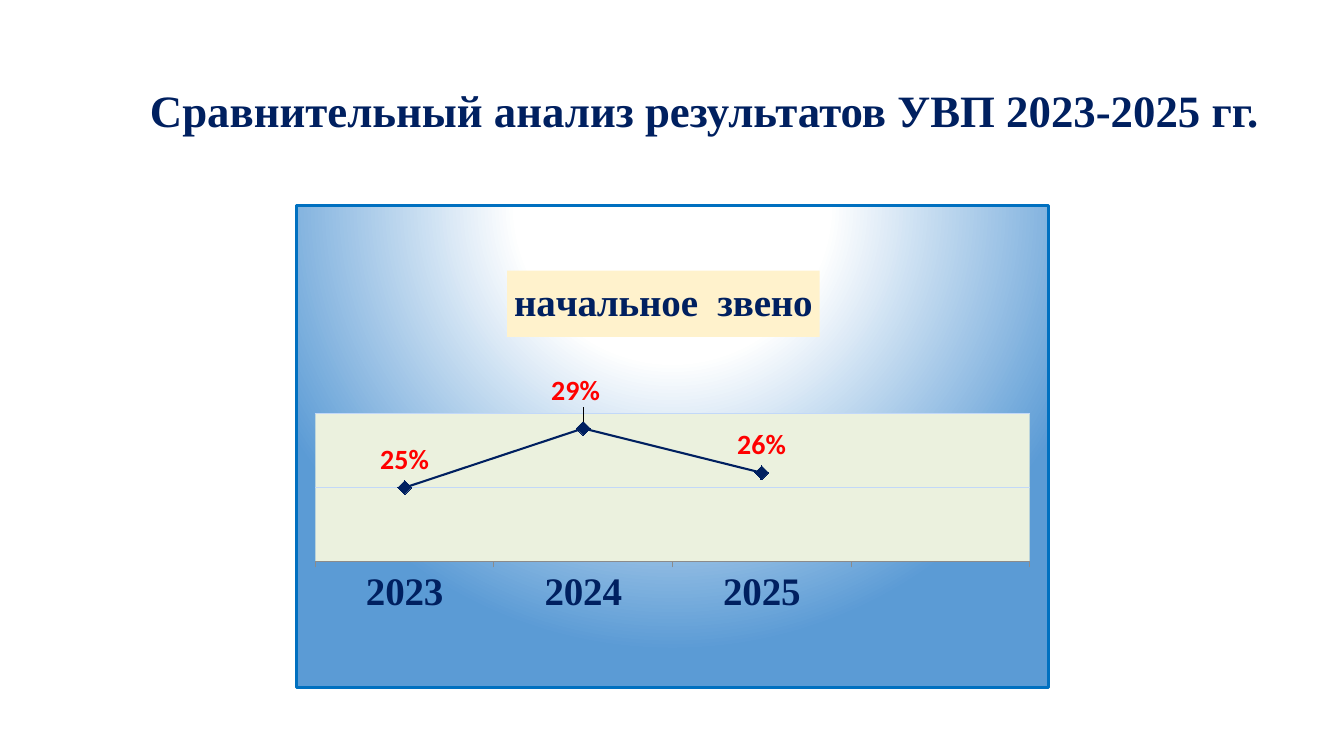
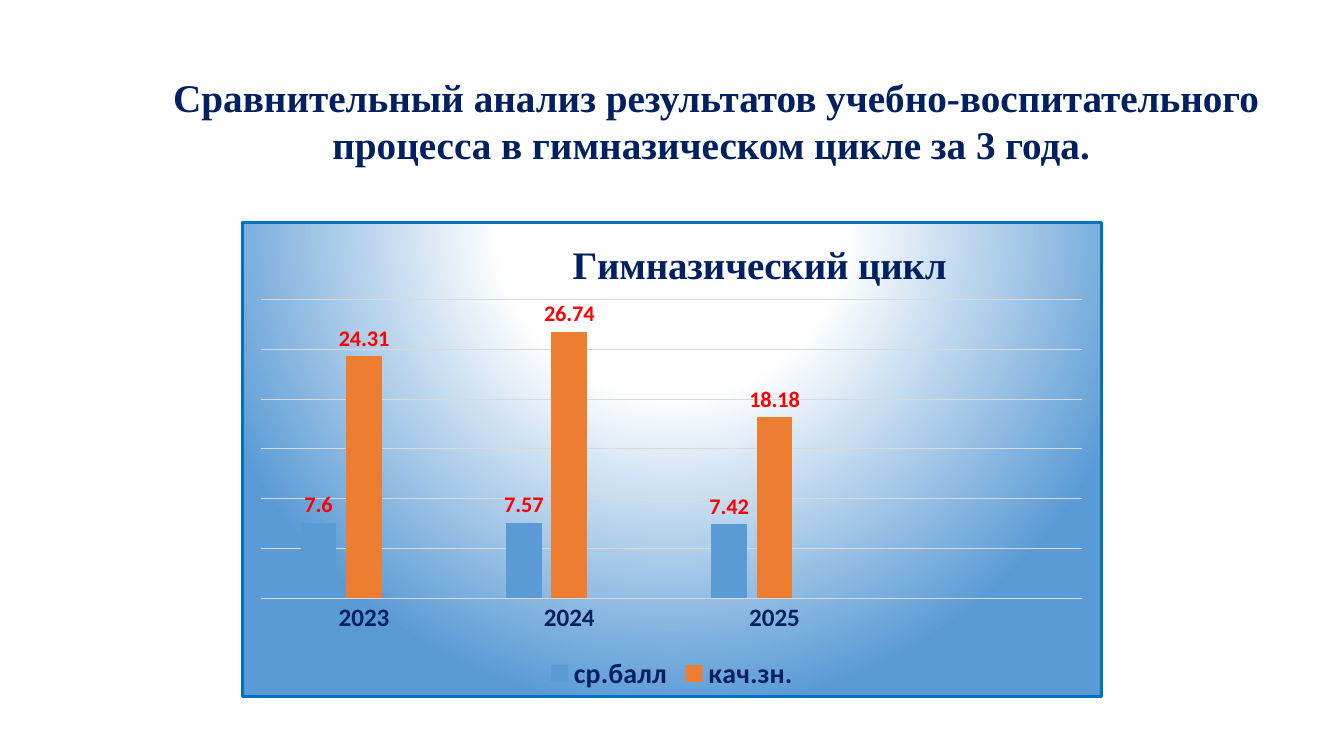
from lxml.etree import fromstring
from pptx import Presentation
from pptx.chart.data import CategoryChartData
from pptx.dml.color import RGBColor
from pptx.enum.chart import (XL_CHART_TYPE, XL_LABEL_POSITION, XL_LEGEND_POSITION,
                             XL_MARKER_STYLE, XL_TICK_MARK)
from pptx.enum.text import MSO_AUTO_SIZE, PP_ALIGN
from pptx.oxml.ns import nsdecls, qn
from pptx.util import Emu, Pt

COLORS = {
    "navy": "002060", "label": "FF0000", "border": "0070C0", "blue": "5B9BD5",
    "orange": "ED7D31", "gray": "A5A5A5", "white": "FFFFFF", "black": "000000",
    "cream": "FFF2CC", "plot": "EBF1DE", "pale_grid": "C2D8F8",
    "gray_grid": "D9D9D9", "axis": "8B8B8B",
}
SERIF, SANS = "Times New Roman", "Calibri"
YEARS = ["2023", "2024", "2025", ""]
NO_VALUES = [None] * len(YEARS)
PX_PER_INCH = 100.8


def px(length):
    return Emu(round(length * 914400 / PX_PER_INCH))


def color(name):
    return RGBColor.from_string(COLORS[name])


def style_font(font, size, color_name, name=SANS, bold=True):
    font.size, font.name, font.bold = Pt(size), name, bold
    font.color.rgb = color(color_name)


def style_line(line, color_name, width=0.75):
    line.color.rgb = color(color_name)
    line.width = Pt(width)


def add_heading(slide, box, text, size, wrap=True, alignment=PP_ALIGN.CENTER):
    shape = slide.shapes.add_textbox(*map(px, box))
    frame = shape.text_frame
    frame.word_wrap = wrap
    frame.auto_size = MSO_AUTO_SIZE.SHAPE_TO_FIT_TEXT
    paragraph = frame.paragraphs[0]
    paragraph.text = text
    paragraph.alignment = alignment
    style_font(paragraph.font, size, "navy", SERIF)


def set_layout(parent, after=None, settings="", **fractions):
    """Give a chart part a manual layout, in fractions of the chart."""
    for old in parent.findall(qn("c:layout")):
        parent.remove(old)
    values = "".join(f'<c:{key} val="{value}"/>' for key, value in fractions.items())
    layout = fromstring(f'<c:layout {nsdecls("c")}><c:manualLayout>{settings}{values}'
                        '</c:manualLayout></c:layout>')
    if after:
        parent.find(qn(after)).addnext(layout)
    else:
        parent.insert(0, layout)


def add_chart_background(chart):
    """Fill the chart with the shared radial gradient and border."""
    stops = "".join(f'<a:gs pos="{position}"><a:srgbClr val="{COLORS[name]}"/></a:gs>'
                    for position, name in ((0, "white"), (35000, "white"), (100000, "blue")))
    chart._chartSpace.find(qn("c:chart")).addnext(fromstring(
        f'<c:spPr {nsdecls("c", "a")}><a:gradFill><a:gsLst>{stops}</a:gsLst>'
        '<a:path path="circle"><a:fillToRect l="50000" t="-80000" r="50000" b="180000"/></a:path>'
        f'</a:gradFill><a:ln w="{Pt(2.25)}"><a:solidFill><a:srgbClr val="{COLORS["border"]}"/>'
        '</a:solidFill></a:ln></c:spPr>'))


def add_titled_chart(slide, box, kind, series, number_format, title, title_at, plot_box):
    data = CategoryChartData(number_format=number_format)
    data.categories = YEARS
    for name, values in series:
        data.add_series(name, values)
    chart = slide.shapes.add_chart(kind, *map(px, box), data).chart
    style_font(chart.font, 10, "black", bold=False)
    add_chart_background(chart)
    chart.has_legend = False
    chart.has_title = True
    paragraph = chart.chart_title.text_frame.paragraphs[0]
    paragraph.text = title
    style_font(paragraph.font, 28, "navy", SERIF)
    chart.chart_title.include_in_layout = False
    edges = '<c:xMode val="edge"/><c:yMode val="edge"/>'
    left, top = title_at
    set_layout(chart.chart_title._element, "c:tx", edges, x=left, y=top)
    left, top, width, height = plot_box
    set_layout(chart._chartSpace.chart.plotArea, None, '<c:layoutTarget val="inner"/>' + edges,
               x=left, y=top, w=width, h=height)
    chart.plots[0].vary_by_categories = False
    return chart


def style_axes(chart, minimum, maximum, step, grid, axis_line, tick, size, font_name):
    value_axis, category_axis = chart.value_axis, chart.category_axis
    value_axis.minimum_scale, value_axis.maximum_scale = minimum, maximum
    value_axis.major_unit = step
    value_axis.visible = False
    value_axis.has_major_gridlines = True
    style_line(value_axis.major_gridlines.format.line, grid)
    category_axis.major_tick_mark = tick
    category_axis.minor_tick_mark = XL_TICK_MARK.NONE
    style_line(category_axis.format.line, axis_line)
    style_font(category_axis.tick_labels.font, size, "navy", font_name)


def style_labels(series, size, position):
    labels = series.data_labels
    labels.show_value = True
    labels.position = position
    style_font(labels.font, size, "label")


def add_primary_chart(slide, box):
    chart = add_titled_chart(
        slide, box, XL_CHART_TYPE.LINE_MARKERS,
        [("Series 1", [0.25, 0.29, 0.26, None]),
         ("Series 2", NO_VALUES), ("Series 3", NO_VALUES)], "0%",
        "начальное  звено", (0.28, 0.135), (0.025, 0.432, 0.95, 0.307))
    title_fill = chart.chart_title.format.fill
    title_fill.solid()
    title_fill.fore_color.rgb = color("cream")
    style_axes(chart, 0.2, 0.3, 0.05, "pale_grid", "axis", XL_TICK_MARK.OUTSIDE, 28, SERIF)
    chart._chartSpace.chart.plotArea.append(fromstring(
        f'<c:spPr {nsdecls("c", "a")}><a:solidFill><a:srgbClr val="{COLORS["plot"]}"/>'
        '</a:solidFill></c:spPr>'))

    for series, line_name in zip(chart.plots[0].series, ("navy", "orange", "gray")):
        series.smooth = False
        style_line(series.format.line, line_name, 1.5)
        marker = series.marker
        marker.style, marker.size = XL_MARKER_STYLE.DIAMOND, 10
        marker.format.fill.solid()
        marker.format.fill.fore_color.rgb = color(line_name)
        style_line(marker.format.line, line_name)

    results = chart.plots[0].series[0]
    style_labels(results, 20, XL_LABEL_POSITION.ABOVE)
    peak_label = results.points[1].data_label
    style_font(peak_label.font, 20, "label")
    peak_label.position = XL_LABEL_POSITION.ABOVE
    set_layout(results.data_labels._element.find(qn("c:dLbl")), "c:idx", x=-0.01, y=-0.02)


def add_gymnasium_chart(slide, box):
    chart = add_titled_chart(
        slide, box, XL_CHART_TYPE.COLUMN_CLUSTERED,
        [("ср.балл", [7.6, 7.57, 7.42, None]),
         ("кач.зн.", [24.31, 26.74, 18.18, None]),
         ("Series 3", NO_VALUES)], "General",
        "Гимназический цикл", (0.376, 0.022), (0.022, 0.163, 0.956, 0.63))
    style_axes(chart, 0, 30, 5, "gray_grid", "gray_grid", XL_TICK_MARK.NONE, 18, SANS)
    plot = chart.plots[0]
    plot.gap_width, plot.overlap = 219, -27
    for series, fill_name in zip(plot.series, ("blue", "orange", "gray")):
        series.format.fill.solid()
        series.format.fill.fore_color.rgb = color(fill_name)
        style_labels(series, 16, XL_LABEL_POSITION.OUTSIDE_END)

    chart.has_legend = True
    legend = chart.legend
    legend.position = XL_LEGEND_POSITION.BOTTOM
    legend.include_in_layout = False
    style_font(legend.font, 20, "navy")
    legend._element.find(qn("c:legendPos")).addnext(fromstring(
        f'<c:legendEntry {nsdecls("c")}><c:idx val="2"/><c:delete val="1"/></c:legendEntry>'))


def main():
    presentation = Presentation()
    presentation.slide_width, presentation.slide_height = px(1344), px(756)
    blank = presentation.slide_layouts[6]

    slide = presentation.slides.add_slide(blank)
    add_primary_chart(slide, (295, 204, 755, 485))
    add_heading(slide, (140, 78, 1179, 65), "Сравнительный анализ результатов УВП 2023-2025 гг.",
                32, wrap=False, alignment=PP_ALIGN.LEFT)

    slide = presentation.slides.add_slide(blank)
    add_heading(slide, (135, 68, 1162, 105),
                "Сравнительный анализ результатов учебно-воспитательного процесса "
                "в гимназическом цикле за 3 года. ", 28)
    add_gymnasium_chart(slide, (241, 221, 862, 477))

    presentation.save("out.pptx")


if __name__ == "__main__":
    main()
